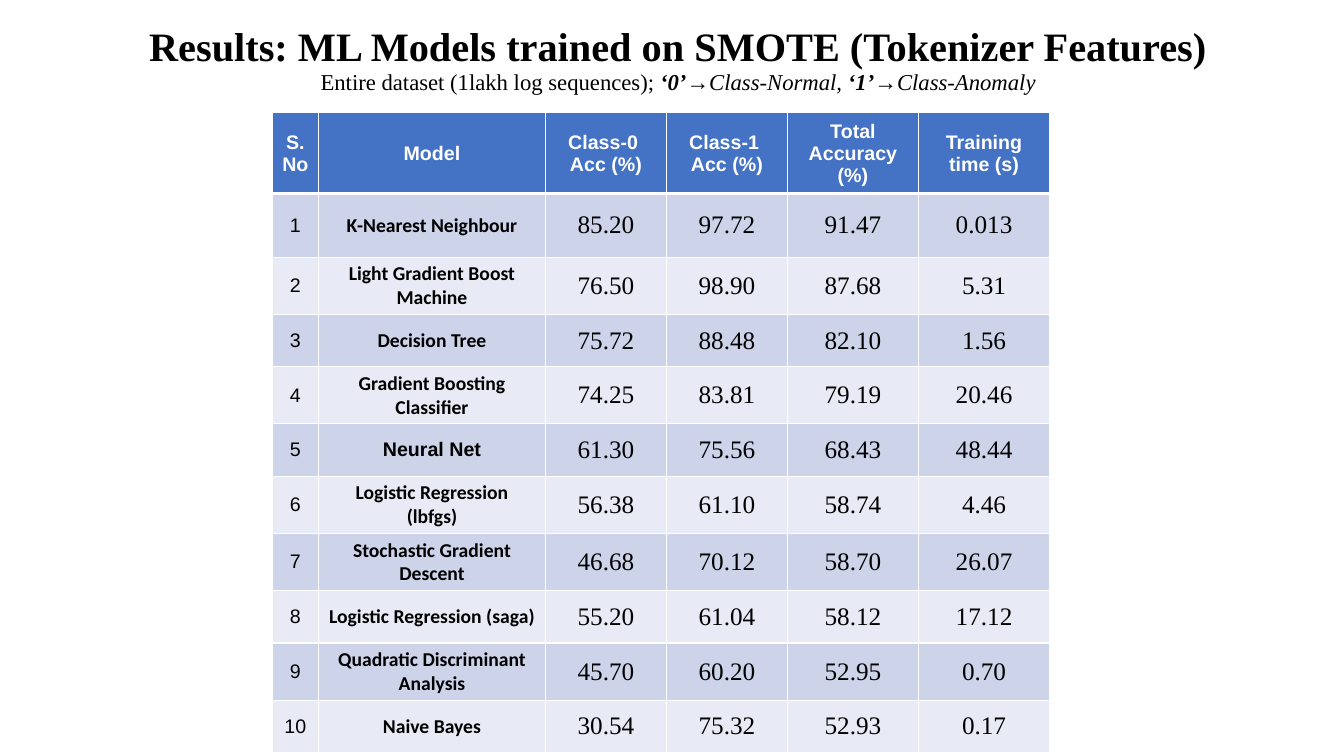
import pptx
import pptx.dml.color
import pptx.enum.text
import pptx.oxml.ns
import pptx.util
from lxml import etree

TITLE = "Results: ML Models trained on SMOTE (Tokenizer Features)"
# text, bold, italic
SUBTITLE = [
    ("Entire dataset (1lakh log sequences); ", False, False),
    ("‘0’", True, True),
    ("→Class-Normal, ", False, True),
    ("‘1’", True, True),
    ("→Class-Anomaly", False, True),
]
HEADERS = ["S.No", "Model", "Class-0 \nAcc (%)", "Class-1 \nAcc (%)",
           "Total Accuracy (%)", "Training time (s)"]
RESULTS = [
    ("K-Nearest Neighbour", "85.20", "97.72", "91.47", "0.013"),
    ("Light Gradient Boost Machine", "76.50", "98.90", "87.68", "5.31"),
    ("Decision Tree", "75.72", "88.48", "82.10", "1.56"),
    ("Gradient Boosting Classifier", "74.25", "83.81", "79.19", "20.46"),
    ("Neural Net", "61.30", "75.56", "68.43", "48.44"),
    ("Logistic Regression (lbfgs)", "56.38", "61.10", "58.74", "4.46"),
    ("Stochastic Gradient Descent", "46.68", "70.12", "58.70", "26.07"),
    ("Logistic Regression (saga)", "55.20", "61.04", "58.12", "17.12"),
    ("Quadratic Discriminant Analysis", "45.70", "60.20", "52.95", "0.70"),
    ("Naive Bayes", "30.54", "75.32", "52.93", "0.17"),
]
COLORS = {"header": "4472C4", "odd": "CDD4EA", "even": "E8EBF5",
          "white": "FFFFFF", "black": "000000"}
SERIF, SANS, MODEL_FONT = "Times New Roman", "Arial", "Calibri"
COLUMN_WIDTHS = [0.46, 2.25, 1.2, 1.2, 1.3, 1.3]
ROW_HEIGHT = 0.52
TALLER_ROWS = {0: 0.55, 1: 0.63, 2: 0.55, 7: 0.55}
TABLE_LEFT, TABLE_TOP = 2.7, 1.12

inches = pptx.util.Inches
CENTER = pptx.enum.text.PP_ALIGN.CENTER
MIDDLE = pptx.enum.text.MSO_ANCHOR.MIDDLE


def rgb(name):
    return pptx.dml.color.RGBColor.from_string(COLORS[name])


def add_run(paragraph, text, size, font, color="black", bold=False, italic=False):
    run = paragraph.add_run()
    run.text = text
    run.font.size = pptx.util.Pt(size)
    run.font.name = font
    run.font.bold = bold
    run.font.italic = italic
    run.font.color.rgb = rgb(color)


def add_borders(cell, bottom_width):
    """Draw white cell borders; must run before the fill is set."""
    properties = cell._tc.get_or_add_tcPr()
    qn = pptx.oxml.ns.qn
    for side, width in (("L", 1), ("R", 1), ("T", 1), ("B", bottom_width)):
        line = etree.SubElement(properties, qn("a:ln" + side), w=str(pptx.util.Pt(width)))
        fill = etree.SubElement(line, qn("a:solidFill"))
        etree.SubElement(fill, qn("a:srgbClr"), val=COLORS["white"])


def fill_cell(cell, text, fill, size, font, color="black", bold=False, bottom_width=1):
    add_borders(cell, bottom_width)
    cell.fill.solid()
    cell.fill.fore_color.rgb = rgb(fill)
    cell.vertical_anchor = MIDDLE
    frame = cell.text_frame
    for index, line in enumerate(text.split("\n")):
        paragraph = frame.add_paragraph() if index else frame.paragraphs[0]
        paragraph.alignment = CENTER
        add_run(paragraph, line, size, font, color, bold)


def add_title(slide):
    box = slide.shapes.add_textbox(inches(1.04), inches(0.09), inches(11.25), inches(1.03))
    frame = box.text_frame
    frame.word_wrap = True
    frame.vertical_anchor = MIDDLE
    paragraph = frame.paragraphs[0]
    paragraph.alignment = CENTER
    paragraph.line_spacing = 0.9
    paragraph._p.get_or_add_pPr().set("marL", str(inches(0.12)))
    add_run(paragraph, TITLE, 28.8, SERIF, bold=True)
    paragraph.add_line_break()
    for text, bold, italic in SUBTITLE:
        add_run(paragraph, text, 16.2, SERIF, bold=bold, italic=italic)


def add_results(slide):
    heights = [TALLER_ROWS.get(row, ROW_HEIGHT) for row in range(len(RESULTS) + 1)]
    table = slide.shapes.add_table(
        len(heights), len(HEADERS), inches(TABLE_LEFT), inches(TABLE_TOP),
        inches(sum(COLUMN_WIDTHS)), inches(sum(heights))).table
    for column, width in zip(table.columns, COLUMN_WIDTHS):
        column.width = inches(width)
    for row, height in zip(table.rows, heights):
        row.height = inches(height)
    for column, header in enumerate(HEADERS):
        fill_cell(table.cell(0, column), header, "header", 14, SANS, "white", True, 3)
    for row, (model, *values) in enumerate(RESULTS, start=1):
        band = "odd" if row % 2 else "even"
        model_font = SANS if model == "Neural Net" else MODEL_FONT
        fill_cell(table.cell(row, 0), str(row), band, 14, SANS)
        fill_cell(table.cell(row, 1), model, band, 14, model_font, bold=True)
        for column, value in enumerate(values, start=2):
            fill_cell(table.cell(row, column), value, band, 18, SERIF)


def main():
    presentation = pptx.Presentation()
    presentation.slide_width = inches(13.33)
    presentation.slide_height = inches(7.5)
    slide = presentation.slides.add_slide(presentation.slide_layouts[6])
    add_title(slide)
    add_results(slide)
    presentation.save("out.pptx")


if __name__ == "__main__":
    main()
